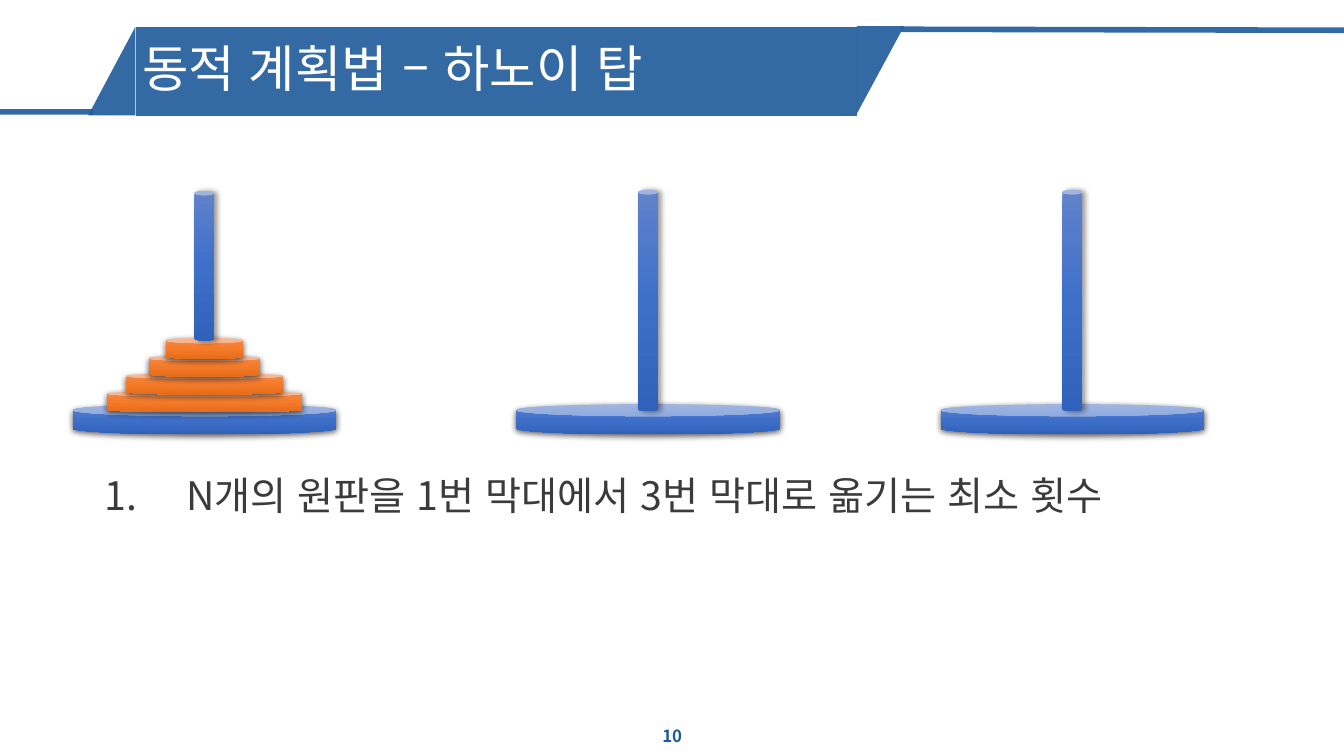
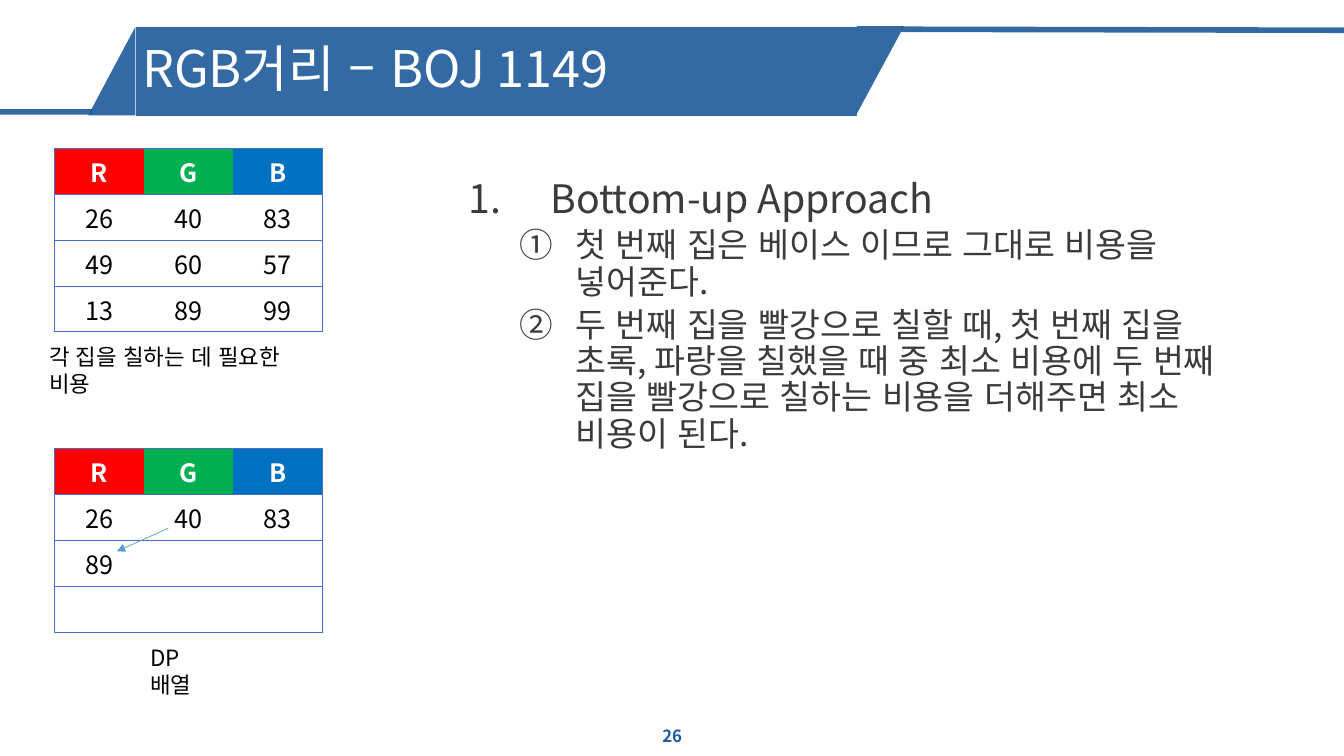
from lxml.etree import SubElement
from pptx import Presentation
from pptx.dml.color import RGBColor
from pptx.enum.lang import MSO_LANGUAGE_ID
from pptx.enum.shapes import MSO_CONNECTOR, MSO_SHAPE
from pptx.enum.text import MSO_ANCHOR, MSO_AUTO_SIZE, PP_ALIGN
from pptx.oxml.ns import qn
from pptx.util import Pt

FONT = "Noto Sans CJK KR"
C = {"band": "1E5A9B", "white": "FFFFFF", "body": "3B3B3B", "black": "000000",
     "red": "FF0000", "green": "00B050", "blue": "0070C0",
     "border": "4472C4", "arrow": "5B9BD5"}
GRADS = {"blue": ("6183CB", "3E70CA", "3062BB"),
         "orange": ("F18C57", "F67B28", "E56C19")}
# Shadows: opacity %, blur, distance, direction
SOFT = (63, 4.5, 1.5, 90)
SIDE = (40, 4, 2, 20)


def sub(parent, tag, **attrs):
    return SubElement(parent, qn(tag), {k: str(v) for k, v in attrs.items()})


def put(tf, text, size, color, bold=False, align=PP_ALIGN.LEFT, level=0,
        number=None, indent=0, hang=0, spacing=None, before=0, new=False):
    p = tf.add_paragraph() if new else tf.paragraphs[0]
    p.alignment, p.level = align, level
    p.space_before = Pt(before)
    if spacing:
        p.line_spacing = spacing
    if number:
        pPr = p._p.get_or_add_pPr()
        pPr.set("marL", str(Pt(indent)))
        pPr.set("indent", str(-Pt(hang)))
        sub(pPr, "a:buFont", typeface=FONT)
        sub(pPr, "a:buAutoNum", type=number)
    r = p.add_run()
    r.text = text
    r.font.size, r.font.bold, r.font.name = Pt(size), bold, FONT
    r.font.color.rgb = RGBColor.from_string(C[color])
    r.font.language_id = MSO_LANGUAGE_ID.KOREAN
    sub(r._r.rPr, "a:ea", typeface=FONT)


prs = Presentation()
prs.slide_width, prs.slide_height = Pt(960), Pt(540)
layout = prs.slide_layouts[1]

# Titles, body places and page numbers
pages = [("동적 계획법 – 하노이 탑", "10", (67.7, 337, 825, 146)),
         ("RGB거리 – BOJ 1149", "26", (327.6, 124.6, 565.2, 357.8))]
slides = []
for title, number, place in pages:
    s = prs.slides.add_slide(layout)
    slides.append(s)
    head, body = s.shapes.title, s.placeholders[1]
    for ph, box in ((head, (94.3, 21.6, 514.8, 58.3)), (body, place)):
        ph.left, ph.top, ph.width, ph.height = map(Pt, box)
        ph.text_frame.auto_size = MSO_AUTO_SIZE.NONE
    head.text_frame.vertical_anchor = MSO_ANCHOR.MIDDLE
    put(head.text_frame, title, 36, "white", spacing=0.9)
    tf = s.shapes.add_textbox(Pt(372.2), Pt(511.2), Pt(216), Pt(28.8)).text_frame
    tf.word_wrap = True
    tf.vertical_anchor = MSO_ANCHOR.MIDDLE
    put(tf, number, 12, "band", bold=True, align=PP_ALIGN.CENTER)
hanoi, rgb = slides

# Title band, moved to the layout that both slides use
band = []
for kind, x, y, w, h, turn in (
        (MSO_SHAPE.RIGHT_TRIANGLE, 597.6, 33.1, 62.6, 33.8, 90),
        (MSO_SHAPE.RIGHT_TRIANGLE, 48.2, 33.8, 63.4, 33.8, 270),
        (MSO_SHAPE.RECTANGLE, 97.2, 19.4, 514.8, 63.4, 0)):
    sp = hanoi.shapes.add_shape(kind, Pt(x), Pt(y), Pt(w), Pt(h))
    sp.rotation = turn
    sp.fill.solid()
    sp.fill.fore_color.rgb = RGBColor.from_string(C["band"])
    sp.line.fill.background()
    sp.shadow.inherit = False
    band.append(sp)
for x1, y1, x2, y2 in ((66.2, 79.9, 0, 79.9), (960, 21.6, 643.7, 20.9)):
    ln = hanoi.shapes.add_connector(MSO_CONNECTOR.STRAIGHT, Pt(x1), Pt(y1), Pt(x2), Pt(y2))
    ln.line.color.rgb = RGBColor.from_string(C["band"])
    ln.line.width = Pt(4)
    sub(ln.element.spPr, "a:effectLst")
    band.append(ln)
for i, sp in enumerate(band):
    for clr in sp.element.spPr.iter(qn("a:srgbClr")):
        sub(clr, "a:alpha", val=90000)
    sp.element.xpath(".//p:cNvPr")[0].set("id", str(100 + i))
    layout.shapes.element.append(sp.element)

# Hanoi towers: centre, peg top, peg height, disk widths from the bottom up
for cx, peg_top, peg_h, disks in ((463, 135.4, 158.4, ()),
                                  (766.1, 135.4, 158.4, ()),
                                  (146.1, 136.1, 107.3, (139, 112.3, 79.9, 55.4))):
    parts = [(188.6, 288.7, 21.6, "blue", SOFT, 0.396)]
    parts += [(w, 279.4 - 12.7 * i, 15.1, "orange", SOFT, 0.25)
              for i, w in enumerate(disks)]
    parts.append((14.4, peg_top, peg_h, "blue", SIDE, 0.25))
    tower = hanoi.shapes.add_group_shape()
    for w, y, h, grad, (alpha, blur, dist, angle), adj in parts:
        can = tower.shapes.add_shape(MSO_SHAPE.CAN, Pt(cx - w / 2), Pt(y), Pt(w), Pt(h))
        can.adjustments[0] = adj
        can.fill.gradient()
        can.fill.gradient_angle = 270
        stops = can.element.spPr.find(".//" + qn("a:gsLst"))
        stops.clear()
        for pos, color in zip((0, 50000, 100000), GRADS[grad]):
            sub(sub(stops, "a:gs", pos=pos), "a:srgbClr", val=color)
        can.line.fill.background()
        can.shadow.inherit = False
        shadow = sub(can.element.spPr.find(qn("a:effectLst")), "a:outerShdw",
                     blurRad=Pt(blur), dist=Pt(dist), dir=angle * 60000,
                     algn="ctr", rotWithShape=0)
        sub(sub(shadow, "a:srgbClr", val=C["black"]), "a:alpha", val=alpha * 1000)

# Numbered lists
top = dict(size=28, color="body", number="arabicPeriod", indent=58.3, hang=58.3, spacing=0.9)
step = dict(size=24, color="body", number="circleNumDbPlain", indent=76.3, hang=40.3,
            spacing=0.9, level=1, before=5, new=True)
put(hanoi.placeholders[1].text_frame, "N개의 원판을 1번 막대에서 3번 막대로 옮기는 최소 횟수", **top)
tf = rgb.placeholders[1].text_frame
put(tf, "Bottom-up Approach", **top)
for text in ("첫 번째 집은 베이스 이므로 그대로 비용을 넣어준다.",
             "두 번째 집을 빨강으로 칠할 때, 첫 번째 집을 초록, 파랑을 칠했을 때 중 "
             "최소 비용에 두 번째 집을 빨강으로 칠하는 비용을 더해주면 최소 비용이 된다."):
    put(tf, text, **step)

# Cost table and DP table
header = ("R", "G", "B")
costs = [header, ("26", "40", "83"), ("49", "60", "57"), ("13", "89", "99")]
dp = [header, ("26", "40", "83"), ("89", "", ""), ("", "", "")]
for y, rows in ((105.8, costs), (320.4, dp)):
    tbl = rgb.shapes.add_table(4, 3, Pt(38.9), Pt(y), Pt(191.4), Pt(131.2)).table
    tbl.first_row = tbl.horz_banding = False
    for i, row in enumerate(rows):
        for j, text in enumerate(row):
            cell = tbl.cell(i, j)
            tcPr = cell._tc.get_or_add_tcPr()
            for side, shown in (("L", j == 0), ("R", j == 2), ("T", True), ("B", True)):
                edge = sub(tcPr, "a:ln" + side, w=Pt(0.5))
                if shown:
                    sub(sub(edge, "a:solidFill"), "a:srgbClr", val=C["border"])
                else:
                    sub(edge, "a:noFill")
            if i == 0:
                cell.fill.solid()
                cell.fill.fore_color.rgb = RGBColor.from_string(C[("red", "green", "blue")[j]])
            else:
                cell.fill.background()
            if text:
                put(cell.text_frame, text, 18, "black" if i else "white",
                    bold=i == 0, align=PP_ALIGN.CENTER)

# Table captions
for text, x, y, w in (("각 집을 칠하는 데 필요한 비용", 28.1, 241.9, 200),
                      ("DP 배열", 100.1, 456.5, 60)):
    tf = rgb.shapes.add_textbox(Pt(x), Pt(y), Pt(w), Pt(44)).text_frame
    tf.word_wrap = True
    put(tf, text, 16, "black")

# Arrow from the cheapest previous cost
arrow = rgb.shapes.add_connector(MSO_CONNECTOR.STRAIGHT, Pt(120.2), Pt(377.3), Pt(83.5), Pt(393.8))
arrow.line.color.rgb = RGBColor.from_string(C["arrow"])
arrow.line.width = Pt(0.5)
sub(arrow.line._get_or_add_ln(), "a:tailEnd", type="triangle")
sub(arrow.element.spPr, "a:effectLst")

prs.save("out.pptx")
